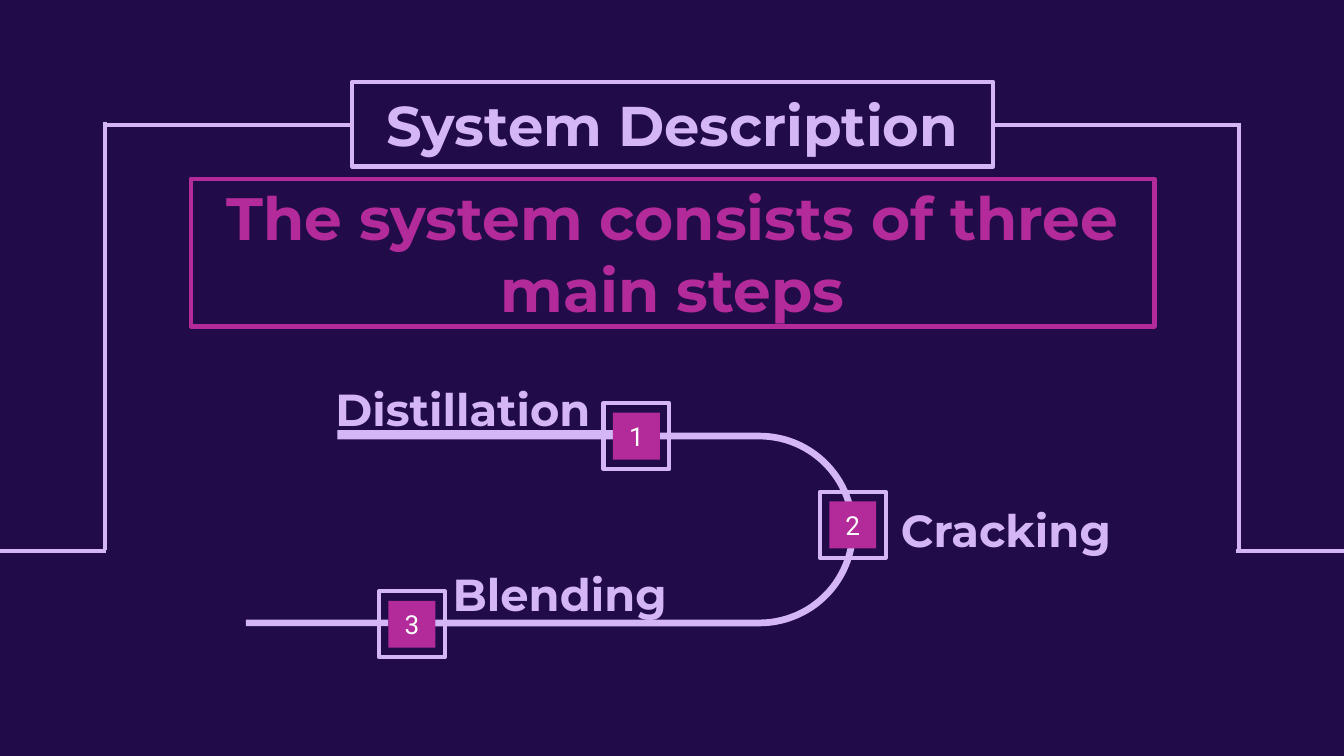
from dataclasses import dataclass
from math import cos, radians, sin

from lxml import etree
from pptx import Presentation
from pptx.dml.color import RGBColor
from pptx.enum.shapes import MSO_CONNECTOR, MSO_SHAPE
from pptx.enum.text import MSO_ANCHOR, PP_ALIGN
from pptx.oxml.ns import qn
from pptx.util import Inches, Pt

RECTANGLE = MSO_SHAPE.RECTANGLE
STRAIGHT = MSO_CONNECTOR.STRAIGHT
TOP, MIDDLE = MSO_ANCHOR.TOP, MSO_ANCHOR.MIDDLE
CENTER = PP_ALIGN.CENTER

COLORS = {"night": "220B49", "lilac": "D4B6F6", "magenta": "B32A9A", "white": "FFFFFF"}
HEADING_FONT, NUMBER_FONT = "Montserrat", "Roboto"
LINE_WIDTH = Pt(2.25)
SLIDE_WIDTH = 10
SLIDE_HEIGHT = SLIDE_WIDTH * 9 / 16
FRAME_SIDE, BADGE_SIDE, BADGE_INSET = 0.49, 0.35, 0.07
BEND_X, BEND_Y = 5.65, 3.94
OUTER_RADIUS, INNER_RADIUS = 0.72, 0.67
ARC_STEPS = 24


@dataclass
class Box:
    left: float
    top: float
    width: float
    height: float

    def lengths(self):
        return [Inches(v) for v in (self.left, self.top, self.width, self.height)]


@dataclass
class Step:
    number: int
    name: str
    label: Box
    frame_left: float
    frame_top: float


@dataclass
class Bend:
    tail_x: float
    start_angle: int
    end_angle: int


TITLE = Box(2.62, 0.61, 4.77, 0.63)
SUBTITLE = Box(1.42, 1.33, 7.17, 1.1)
STEPS = [
    Step(1, "Distillation", Box(2.36, 2.74, 2.17, 0.5), 4.49, 3),
    Step(2, "Cracking", Box(6.52, 3.64, 1.93, 0.5), 6.1, 3.66),
    Step(3, "Blending", Box(3.2, 4.12, 1.93, 0.5), 2.82, 4.4),
]
BENDS = [Bend(3.19, 90, 9), Bend(4.88, -90, -11)]
TRACK_ENDS = [Box(2.51, 3.2, 2.11, 0.07), Box(1.83, 4.61, 1.06, 0.05)]
BORDER_LINES = [
    (0.78, 0.93, 9.23, 0.93),
    (9.22, 0.94, 9.22, 4.11),
    (10, 4.1, 9.2, 4.1),
    (0.78, 0.91, 0.78, 4.09),
    (0, 4.1, 0.79, 4.1),
]


def rgb(name: str) -> RGBColor:
    return RGBColor.from_string(COLORS[name])


def add_border_line(slide, x1: float, y1: float, x2: float, y2: float) -> None:
    line = slide.shapes.add_connector(STRAIGHT, Inches(x1), Inches(y1), Inches(x2), Inches(y2))
    line.line.color.rgb = rgb("lilac")
    line.line.width = LINE_WIDTH
    etree.SubElement(line._element.spPr, qn("a:effectLst"))


def paint(shape, fill: str | None, outline: str | None) -> None:
    shape.shadow.inherit = False
    if fill:
        shape.fill.solid()
        shape.fill.fore_color.rgb = rgb(fill)
    else:
        shape.fill.background()
    if outline:
        shape.line.color.rgb = rgb(outline)
        shape.line.width = LINE_WIDTH
    else:
        shape.line.fill.background()


def add_rectangle(slide, box: Box, fill: str | None = None, outline: str | None = None):
    rectangle = slide.shapes.add_shape(RECTANGLE, *box.lengths())
    paint(rectangle, fill, outline)
    return rectangle


def write(shape, text: str, size: int, color: str, font: str = HEADING_FONT,
          bold: bool = True, anchor=MIDDLE) -> None:
    frame = shape.text_frame
    frame.word_wrap = True
    frame.vertical_anchor = anchor
    frame.margin_left = frame.margin_right = Inches(0.1)
    frame.margin_top = frame.margin_bottom = Inches(0.1)
    paragraph = frame.paragraphs[0]
    paragraph.alignment = CENTER
    run = paragraph.add_run()
    run.text = text
    run.font.name = font
    run.font.size = Pt(size)
    run.font.bold = bold
    run.font.color.rgb = rgb(color)


def add_bend(slide, bend: Bend) -> None:
    """Draw a straight track that turns along a circle, as one filled band."""
    def edge(radius: float) -> list[tuple[int, int]]:
        sweep = bend.end_angle - bend.start_angle
        angles = [radians(bend.start_angle + sweep * i / ARC_STEPS) for i in range(ARC_STEPS + 1)]
        arc = [(BEND_X + radius * cos(a), BEND_Y + radius * sin(a)) for a in angles]
        return [(Inches(x), Inches(y)) for x, y in [(bend.tail_x, arc[0][1])] + arc]

    outline = edge(OUTER_RADIUS) + edge(INNER_RADIUS)[::-1]
    builder = slide.shapes.build_freeform(*outline[0])
    builder.add_line_segments(outline[1:], close=True)
    paint(builder.convert_to_shape(), "lilac", None)


def add_step(slide, step: Step) -> None:
    frame = Box(step.frame_left, step.frame_top, FRAME_SIDE, FRAME_SIDE)
    add_rectangle(slide, frame, outline="lilac")
    inner = Box(frame.left + BADGE_INSET, frame.top + BADGE_INSET, BADGE_SIDE, BADGE_SIDE)
    badge = add_rectangle(slide, inner, fill="magenta")
    write(badge, str(step.number), 14, "white", NUMBER_FONT, bold=False)
    label = slide.shapes.add_textbox(*step.label.lengths())
    write(label, step.name, 24, "lilac", anchor=TOP)


def main() -> None:
    presentation = Presentation()
    presentation.slide_width = Inches(SLIDE_WIDTH)
    presentation.slide_height = Inches(SLIDE_HEIGHT)
    slide = presentation.slides.add_slide(presentation.slide_layouts[6])
    slide.background.fill.solid()
    slide.background.fill.fore_color.rgb = rgb("night")

    for ends in BORDER_LINES:
        add_border_line(slide, *ends)
    title = add_rectangle(slide, TITLE, "night", "lilac")
    write(title, "System Description", 30, "lilac")
    subtitle = add_rectangle(slide, SUBTITLE, outline="magenta")
    write(subtitle, "The system consists of three main steps", 32, "magenta")

    for bend in BENDS:
        add_bend(slide, bend)
    for track in TRACK_ENDS:
        add_rectangle(slide, track, fill="lilac")
    for step in STEPS:
        add_step(slide, step)

    presentation.save("out.pptx")


if __name__ == "__main__":
    main()
